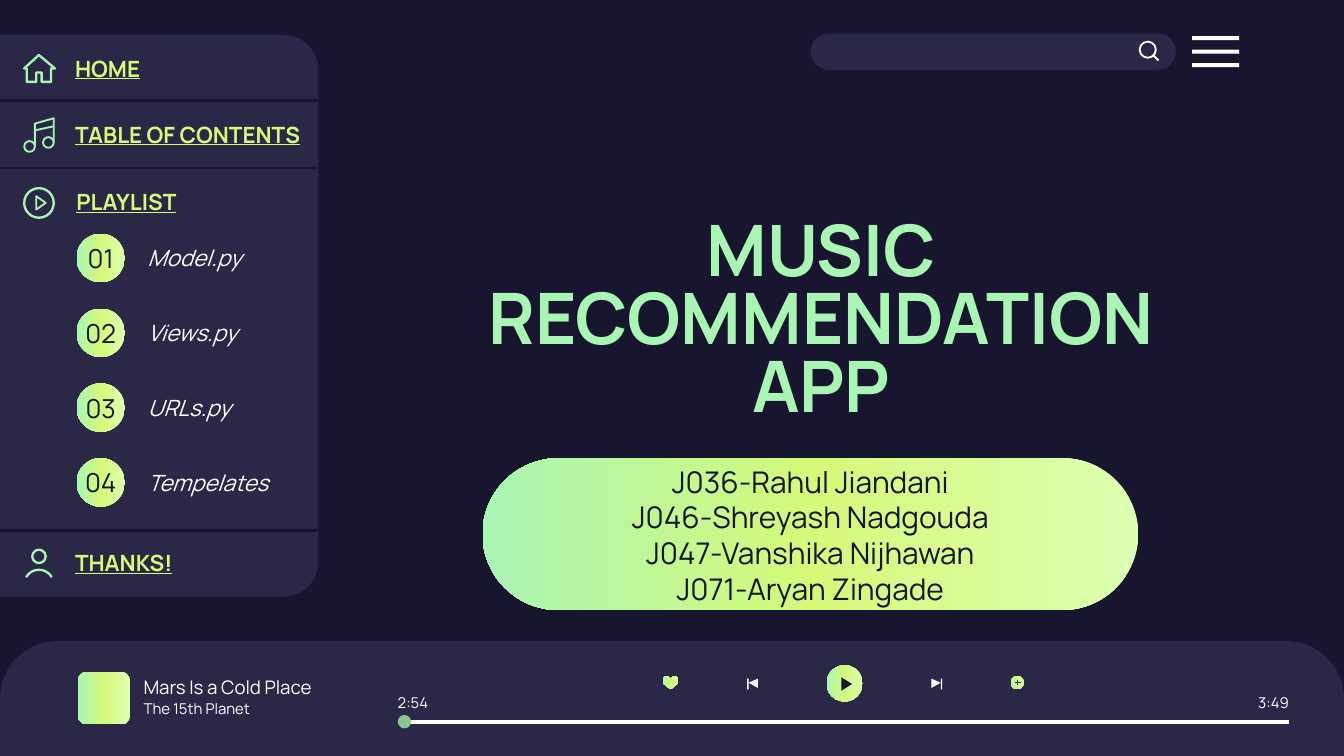
import math
from copy import deepcopy
from typing import NamedTuple

from pptx import Presentation
from pptx.dml.color import RGBColor
from pptx.enum.shapes import MSO_CONNECTOR, MSO_SHAPE
from pptx.enum.text import MSO_ANCHOR, PP_ALIGN
from pptx.oxml.ns import qn
from pptx.util import Inches, Pt
from lxml import etree

RECT, ROUND, OVAL = MSO_SHAPE.RECTANGLE, MSO_SHAPE.ROUNDED_RECTANGLE, MSO_SHAPE.OVAL
TOP_ROUND = MSO_SHAPE.ROUND_2_SAME_RECTANGLE
STRAIGHT = MSO_CONNECTOR.STRAIGHT
LEFT, CENTER, RIGHT = PP_ALIGN.LEFT, PP_ALIGN.CENTER, PP_ALIGN.RIGHT
MIDDLE, BOTTOM = MSO_ANCHOR.MIDDLE, MSO_ANCHOR.BOTTOM

FONT = "Manrope"
COLORS = {
    "night": "17162E", "panel": "2A2747", "mint": "A9F5B4", "lime": "D5F979",
    "pale": "DDFFB2", "white": "FFFFFF", "knob": "88C591",
}
GRADIENT = "gradient"
GRADIENT_STOPS = [(0, "pale"), (0.5, "lime"), (1, "mint")]


class Box(NamedTuple):
    x: float
    y: float
    w: float
    h: float


class MenuItem(NamedTuple):
    label: str
    x: float
    y: float
    w: float


class Track(NamedTuple):
    number: str
    name: str
    w: float


MENU = [
    MenuItem("HOME", 0.46, 0.33, 2.08),
    MenuItem("TABLE OF CONTENTS", 0.46, 0.82, 2.08),
    MenuItem("PLAYLIST", 0.47, 1.32, 1.3),
    MenuItem("THANKS!", 0.46, 4.01, 2.08),
]
TRACKS = [Track("01", "Model.py", 1.37), Track("02", "Views.py", 1.21),
          Track("03", "URLs.py", 1.37), Track("04", "Tempelates", 1.21)]
TRACK_TOP, TRACK_STEP = 1.74, (3.41 - 1.74) / 3
TEAM = ["J036-Rahul Jiandani", "J046-Shreyash Nadgouda",
        "J047-Vanshika Nijhawan", "J071-Aryan Zingade"]

prs = Presentation()
prs.slide_width, prs.slide_height = Inches(10), Inches(10 * 9 / 16)
s = prs.slides.add_slide(prs.slide_layouts[6])


def rgb(name: str) -> RGBColor:
    return RGBColor.from_string(COLORS[name])


def paint(sp, fill: str | None, line: str | None = None, width: float = 1) -> None:
    """Set fill and outline; None means there is none."""
    sp.shadow.inherit = False
    if fill == GRADIENT:
        sp.fill.gradient()
        sp.fill.gradient_angle = 180
        stops = sp._element.spPr.find(".//" + qn("a:gsLst"))
        stops.insert(1, deepcopy(stops[0]))
        for stop, (position, color) in zip(sp.fill.gradient_stops, GRADIENT_STOPS):
            stop.position = position
            stop.color.rgb = rgb(color)
    elif fill:
        sp.fill.solid()
        sp.fill.fore_color.rgb = rgb(fill)
    else:
        sp.fill.background()
    if line:
        sp.line.color.rgb = rgb(line)
        sp.line.width = Pt(width)
    else:
        sp.line.fill.background()


def shape(kind, box: Box, fill: str | None, *, adj: tuple = (), line: str | None = None,
          width: float = 1):
    sp = s.shapes.add_shape(kind, *map(Inches, box))
    for i, value in enumerate(adj):
        sp.adjustments[i] = value
    paint(sp, fill, line, width)
    return sp


def ring(cx: float, cy: float, r: float, color: str, width: float) -> None:
    shape(OVAL, Box(cx - r, cy - r, 2 * r, 2 * r), None, line=color, width=width)


def outline(points: list, fill: str | None = None, *, line: str | None = None,
            width: float = 1, close: bool = True) -> None:
    (x, y), *rest = [(Inches(px), Inches(py)) for px, py in points]
    builder = s.shapes.build_freeform(x, y)
    builder.add_line_segments(rest, close=close)
    paint(builder.convert_to_shape(), fill, line, width)


def rule(x1: float, y1: float, x2: float, y2: float, color: str, width: float) -> None:
    c = s.shapes.add_connector(STRAIGHT, *map(Inches, (x1, y1, x2, y2)))
    c.line.color.rgb = rgb(color)
    c.line.width = Pt(width)
    etree.SubElement(c._element.spPr, qn("a:effectLst"))


def write(lines: list[str], *, box: Box | None = None, sp=None, size: float = 12,
          color: str = "white", bold: bool = False, italic: bool = False,
          underline: bool = False, align=LEFT, anchor=MIDDLE, side: float = 0.1,
          spacing: float | None = None) -> None:
    """Write one paragraph a line, in a given shape or in a new text box."""
    sp = sp or s.shapes.add_textbox(*map(Inches, box))
    tf = sp.text_frame
    tf.word_wrap, tf.vertical_anchor = True, anchor
    tf.margin_left = tf.margin_right = Inches(side)
    tf.margin_top = tf.margin_bottom = Inches(0.1)
    for i, text in enumerate(lines):
        p = tf.add_paragraph() if i else tf.paragraphs[0]
        p.alignment = align
        if spacing:
            p.line_spacing = spacing
        r = p.add_run()
        r.text = text
        r.font.name, r.font.size = FONT, Pt(size)
        r.font.bold, r.font.italic, r.font.underline = bold, italic, underline
        r.font.color.rgb = rgb(color)


s.background.fill.solid()
s.background.fill.fore_color.rgb = rgb("night")

# Search bar and menu button
shape(ROUND, Box(6.03, 0.25, 2.72, 0.27), "panel", adj=(0.5,))
ring(8.54, 0.37, 0.06, "white", 1)
rule(8.58, 0.41, 8.62, 0.45, "white", 1)
for i in range(3):
    shape(RECT, Box(8.87, 0.27 + 0.1 * i, 0.35, 0.03), "white")

# Player bar: cover, song and times
shape(TOP_ROUND, Box(0, 4.77, 10, 0.86), "panel", adj=(0.5, 0))
shape(ROUND, Box(0.58, 5, 0.39, 0.39), GRADIENT, adj=(0.17,))
write(["Mars Is a Cold Place"], box=Box(0.97, 5.03, 1.91, 0.17), size=10)
write(["The 15th Planet"], box=Box(0.97, 5.19, 1.15, 0.17), size=8)
write(["2:54"], box=Box(2.96, 5.14, 0.27, 0.17), size=8, side=0)
write(["3:49"], box=Box(9.32, 5.14, 0.27, 0.17), size=8, side=0, align=RIGHT)

# Player buttons: heart, previous, play, next, add
outline([(4.99, 5.05), (4.98, 5.04), (4.96, 5.03), (4.94, 5.04), (4.93, 5.07),
         (4.94, 5.09), (4.99, 5.13), (5.04, 5.09), (5.05, 5.07), (5.04, 5.04),
         (5.02, 5.03), (5, 5.04)], GRADIENT)
shape(RECT, Box(5.56, 5.05, 0.01, 0.08), "white")
outline([(5.64, 5.05), (5.57, 5.08), (5.64, 5.12)], "white")
shape(OVAL, Box(6.15, 4.95, 0.27, 0.27), GRADIENT)
outline([(6.26, 5.04), (6.26, 5.14), (6.34, 5.09)], "night")
outline([(6.93, 5.05), (6.93, 5.12), (7, 5.08)], "white")
shape(RECT, Box(7, 5.05, 0.01, 0.08), "white")
shape(OVAL, Box(7.52, 5.03, 0.1, 0.1), GRADIENT)
rule(7.57, 5.06, 7.57, 5.1, "panel", 0.75)
rule(7.55, 5.08, 7.6, 5.08, "panel", 0.75)

# Progress line
rule(2.96, 5.37, 9.59, 5.37, "white", 2.25)
shape(OVAL, Box(2.96, 5.32, 0.1, 0.1), "knob")

# Side panel with dividers and menu labels
shape(RECT, Box(0, 0.26, 1.18, 4.18), "panel")
shape(ROUND, Box(0, 0.26, 2.37, 4.18), "panel", adj=(0.11,))
for y in (0.75, 1.25, 3.95):
    rule(2.37, y, 0, y, "night", 1.5)
for item in MENU:
    write([item.label], box=Box(item.x, item.y, item.w, 0.36), color="lime",
          bold=True, underline=True)

# Menu icons: house, notes, play, person
outline([(0.29, 0.41), (0.41, 0.51), (0.38, 0.51), (0.38, 0.61), (0.31, 0.61),
         (0.31, 0.54), (0.27, 0.54), (0.27, 0.61), (0.2, 0.61), (0.2, 0.51),
         (0.18, 0.51)], line="mint", width=1.25)
outline([(0.26, 1.09), (0.26, 0.92), (0.4, 0.88), (0.4, 1.06)],
        line="mint", close=False)
rule(0.26, 0.97, 0.4, 0.94, "mint", 1)
ring(0.22, 1.09, 0.04, "mint", 1)
ring(0.36, 1.06, 0.04, "mint", 1)
ring(0.29, 1.51, 0.11, "mint", 1.25)
outline([(0.27, 1.46), (0.27, 1.56), (0.34, 1.51)], line="mint")
ring(0.29, 4.14, 0.05, "mint", 1.25)
shoulders = [math.radians(a) for a in range(-60, 61, 10)]
outline([(0.29 + 0.11 * math.sin(a), 4.35 - 0.11 * math.cos(a)) for a in shoulders],
        line="mint", width=1.25, close=False)

# Playlist tracks
for i, track in enumerate(TRACKS):
    y = TRACK_TOP + TRACK_STEP * i
    badge = shape(OVAL, Box(0.57, y, 0.36, 0.36), GRADIENT)
    write([track.number], sp=badge, size=14, color="night", align=CENTER, side=0)
    write([track.name], box=Box(1, y - 0.08, track.w, 0.52), italic=True)

# Title and team
write(["MUSIC RECOMMENDATION APP"], box=Box(3.37, 0.72, 5.48, 2.55), size=38,
      color="mint", bold=True, align=CENTER, anchor=BOTTOM, spacing=0.8)
shape(ROUND, Box(3.59, 3.41, 4.88, 1.13), GRADIENT, adj=(0.5,))
write(TEAM, box=Box(3.7, 3.58, 4.66, 0.8), size=16, color="night", align=CENTER)

prs.save("out.pptx")
